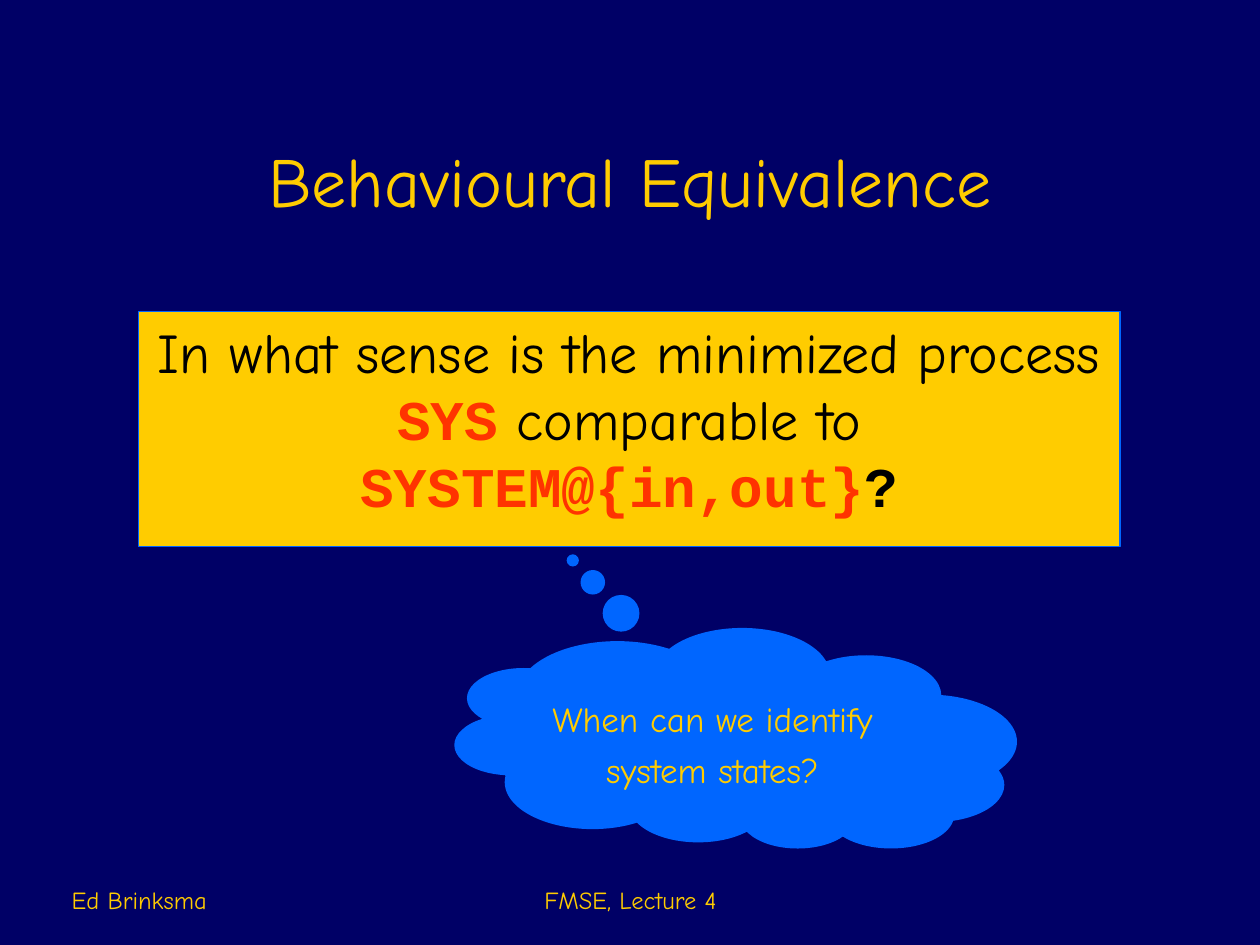
from pptx import Presentation
from pptx.dml.color import RGBColor
from pptx.enum.shapes import MSO_SHAPE as SHAPE
from pptx.enum.text import MSO_ANCHOR as ANCHOR, PP_ALIGN as ALIGN
from pptx.util import Inches, Pt

COLORS = {"navy": "000066", "gold": "FFCC00", "blue": "0066FF",
          "red": "FF3300", "black": "000000"}
SANS, MONO = "Comic Neue", "Courier New"


def color(name):
    return RGBColor.from_string(COLORS[name])


def add_text(box, lines, size, align=ALIGN.CENTER, anchor=ANCHOR.TOP, wrap=True):
    """Fill a shape with lines, each a list of (text, font, colour) runs."""
    tf = box.text_frame
    tf.word_wrap = wrap
    tf.vertical_anchor = anchor
    for i, runs in enumerate(lines):
        p = tf.add_paragraph() if i else tf.paragraphs[0]
        p.alignment = align
        if i:
            p.space_before = Pt(5)
        for text, font, name in runs:
            r = p.add_run()
            r.text = text
            r.font.name, r.font.size = font, Pt(size)
            r.font.bold = font == MONO
            r.font.color.rgb = color(name)


prs = Presentation()
prs.slide_width, prs.slide_height = Inches(10), Inches(7.5)
s = prs.slides.add_slide(prs.slide_layouts[6])
s.background.fill.solid()
s.background.fill.fore_color.rgb = color("navy")

# Question panel and thought cloud
panel = s.shapes.add_shape(SHAPE.RECTANGLE, Inches(1.1), Inches(2.47),
                           Inches(7.79), Inches(1.87))
cloud = s.shapes.add_shape(SHAPE.CLOUD_CALLOUT, Inches(3.61), Inches(4.99),
                           Inches(4.46), Inches(1.75))
for sp, fill in ((panel, "gold"), (cloud, "blue")):
    sp.shadow.inherit = False
    sp.fill.solid()
    sp.fill.fore_color.rgb = color(fill)
panel.line.color.rgb = color("blue")
panel.line.width = Pt(0.75)
cloud.line.fill.background()
cloud.adjustments[0], cloud.adjustments[1] = -0.29, 0.81
cloud.element.spPr.get_or_add_xfrm().set("flipV", "1")

add_text(panel, [[("In what sense is the minimized process ", SANS, "black"),
                  ("SYS", MONO, "red"),
                  (" comparable to ", SANS, "black"),
                  ("SYSTEM@{in,out}", MONO, "red"),
                  ("?", MONO, "black")]], 32)

# Title, cloud wording and footers: left, top, width, height, lines, size, align, anchor, wrap
for left, top, width, height, lines, *style in (
    (0.75, 0.56, 8.5, 1.25, ["Behavioural Equivalence"],
     40, ALIGN.CENTER, ANCHOR.BOTTOM, True),
    (4.28, 5.49, 2.75, 0.84, ["When can we identify", "system states?"],
     20, ALIGN.CENTER, ANCHOR.TOP, False),
    (3.42, 6.81, 3.17, 0.5, ["FMSE, Lecture 4"],
     14, ALIGN.CENTER, ANCHOR.BOTTOM, True),
    (0.47, 6.81, 2.08, 0.5, ["Ed Brinksma"],
     14, ALIGN.LEFT, ANCHOR.BOTTOM, True),
):
    box = s.shapes.add_textbox(*map(Inches, (left, top, width, height)))
    add_text(box, [[(line, SANS, "gold")] for line in lines], *style)

prs.save("out.pptx")
